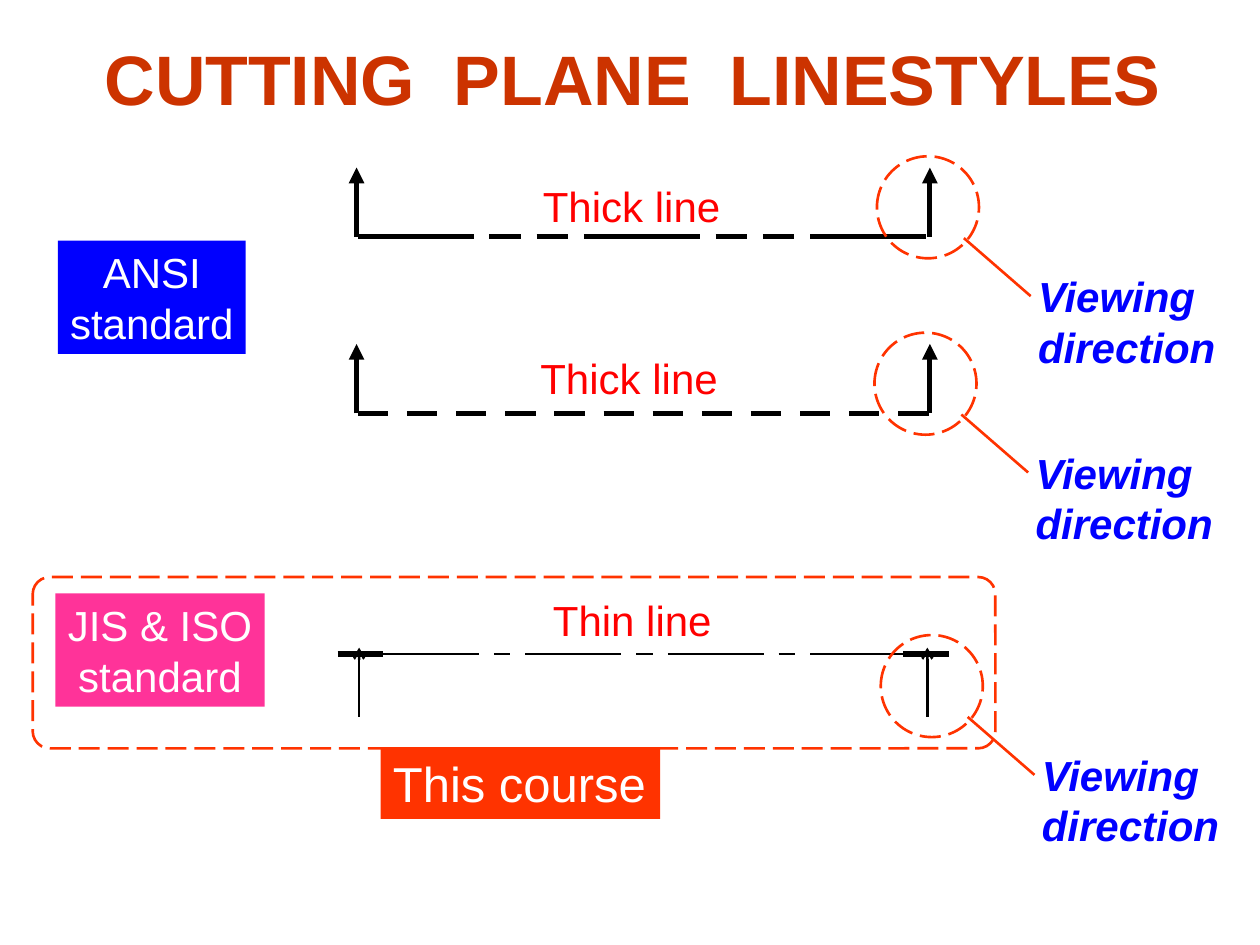
from itertools import cycle

from lxml.etree import SubElement
from pptx import Presentation
from pptx.dml.color import RGBColor
from pptx.enum.dml import MSO_LINE
from pptx.enum.shapes import MSO_CONNECTOR, MSO_SHAPE
from pptx.enum.text import MSO_ANCHOR, MSO_AUTO_SIZE, PP_ALIGN
from pptx.oxml.ns import qn
from pptx.util import Inches, Pt

BLACK = RGBColor(0, 0, 0)
WHITE = RGBColor(255, 255, 255)
RED = RGBColor(255, 0, 0)
BLUE = RGBColor(0, 0, 255)
PINK = RGBColor(255, 51, 153)
ORANGE = RGBColor(255, 51, 0)
BRICK = RGBColor(204, 51, 0)
THICK, THIN = 3, 1.5


def write(shape, lines, align=PP_ALIGN.LEFT, wrap=False, **style):
    frame = shape.text_frame
    frame.text = "\n".join(lines)
    layout = {"word_wrap": wrap, "auto_size": MSO_AUTO_SIZE.NONE,
              "vertical_anchor": MSO_ANCHOR.TOP}
    for name, value in layout.items():
        setattr(frame, name, value)
    color = style.pop("color")
    for para in frame.paragraphs:
        para.alignment = align
        font = para.runs[0].font
        font.color.rgb = color
        for name, value in {"name": "Arial", "size": Pt(24), **style}.items():
            setattr(font, name, value)


def add_title(slide, text):
    title = slide.shapes.title
    place = {"left": 0.73, "top": 0.23, "width": 9, "height": 0.77}
    for name, value in place.items():
        setattr(title, name, Inches(value))
    write(title, [text], wrap=True, color=BRICK, size=Pt(40), bold=True)


def add_label(slide, box, lines, **style):
    write(slide.shapes.add_textbox(*map(Inches, box)), lines, **style)


def add_badge(slide, box, fill, lines, **style):
    shape = slide.shapes.add_shape(MSO_SHAPE.RECTANGLE, *map(Inches, box))
    shape.shadow.inherit = False
    shape.fill.solid()
    shape.fill.fore_color.rgb = fill
    shape.line.fill.background()
    write(shape, lines, color=WHITE, **style)


def add_outline(slide, kind, box):
    shape = slide.shapes.add_shape(kind, *map(Inches, box))
    shape.shadow.inherit = False
    shape.fill.background()
    shape.line.color.rgb = ORANGE
    shape.line.width = Pt(THIN)
    shape.line.dash_style = MSO_LINE.LONG_DASH
    return shape


def add_line(slide, start, end, width, color=BLACK, head=None):
    line = slide.shapes.add_connector(
        MSO_CONNECTOR.STRAIGHT, *map(Inches, (*start, *end)))
    line.line.color.rgb = color
    line.line.width = Pt(width)
    props = line._element.spPr
    if head:
        SubElement(props.find(qn("a:ln")), qn("a:tailEnd"), type=head)
    SubElement(props, qn("a:effectLst"))


def add_dashes(slide, left, y, sizes, count, gap, width):
    """Draw count dashes in a row, taking their lengths in turn from sizes."""
    for size, _ in zip(cycle(sizes), range(count)):
        add_line(slide, (left, y), (left + size, y), width)
        left += size + gap


def add_arrows(slide, xs, bottom, width, head):
    for x in xs:
        add_line(slide, (x, bottom), (x, bottom - 0.55), width, head=head)


def add_view(slide, left, top):
    """Ring an arrow and lead from the ring to its caption."""
    add_outline(slide, MSO_SHAPE.OVAL, (left, top, 0.81, 0.81))
    add_line(slide, (left + 0.69, top + 0.65), (left + 1.22, top + 1.11),
             THIN, ORANGE)
    add_label(slide, (left + 1.18, top + 0.86, 1.61, 0.9),
              ["Viewing", "direction"], color=BLUE, bold=True, italic=True)


def main():
    deck = Presentation()
    deck.slide_width, deck.slide_height = Inches(10), Inches(7.5)
    slide = deck.slides.add_slide(deck.slide_layouts[5])
    add_title(slide, "CUTTING  PLANE  LINESTYLES")

    add_badge(slide, (0.46, 1.91, 1.49, 0.9), BLUE, ["ANSI", "standard"],
              align=PP_ALIGN.CENTER)
    add_dashes(slide, 2.84, 1.88, (0.92, 0.25, 0.25), 7, 0.125, THICK)
    add_dashes(slide, 2.84, 3.28, (0.24,), 12, 0.15, THICK)
    for bottom in (1.88, 3.28):
        add_arrows(slide, (2.83, 7.38), bottom, THICK, "triangle")

    add_badge(slide, (0.44, 4.71, 1.66, 0.9), PINK, ["JIS & ISO", "standard"],
              align=PP_ALIGN.CENTER)
    add_arrows(slide, (2.85, 7.36), 5.69, THIN, "arrow")
    add_dashes(slide, 3.04, 5.19, (0.76, 0.13), 7, 0.12, THIN)
    for left in (2.68, 7.17):
        add_line(slide, (left, 5.19), (left + 0.36, 5.19), THICK)

    for text, left, top, width in (("Thick line", 4.21, 1.38, 1.61),
                                   ("Thick line", 4.19, 2.75, 1.61),
                                   ("Thin line", 4.29, 4.67, 1.46)):
        add_label(slide, (left, top, width, 0.5), [text], color=RED)
    for left, top in ((6.96, 1.24), (6.94, 2.64), (6.99, 5.04)):
        add_view(slide, left, top)

    frame = add_outline(slide, MSO_SHAPE.ROUNDED_RECTANGLE,
                        (0.26, 4.58, 7.64, 1.36))
    frame.adjustments[0] = 0.1
    add_badge(slide, (3.02, 5.93, 2.22, 0.57), ORANGE, ["This course"],
              wrap=True, size=Pt(28))
    deck.save("out.pptx")


if __name__ == "__main__":
    main()
